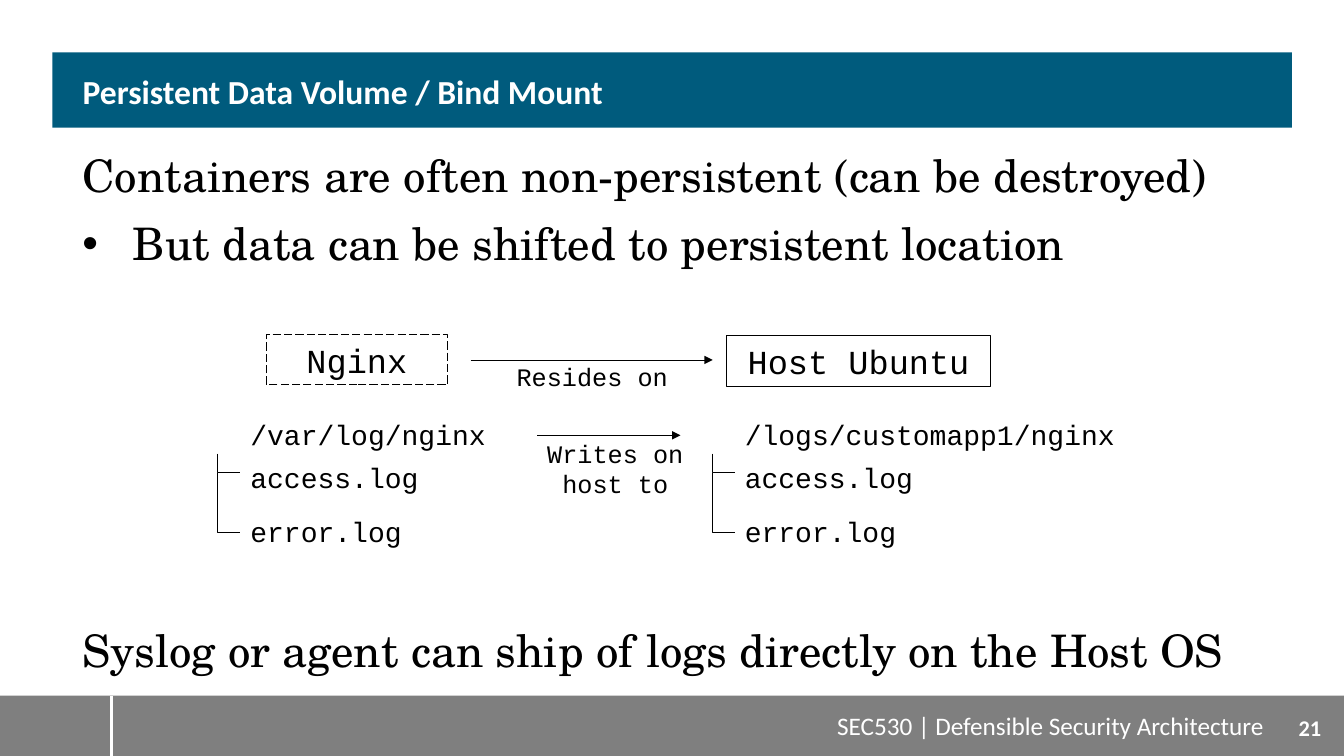
import pptx
import pptx.dml.color
import pptx.enum.dml
import pptx.enum.shapes
import pptx.enum.text
import pptx.oxml
import pptx.oxml.ns
import pptx.util

Cm = pptx.util.Cm
Pt = pptx.util.Pt
RGBColor = pptx.dml.color.RGBColor
ALIGN = pptx.enum.text.PP_ALIGN
ANCHOR = pptx.enum.text.MSO_ANCHOR
CONNECTOR = pptx.enum.shapes.MSO_CONNECTOR

BLACK = RGBColor(0, 0, 0)
WHITE = RGBColor(255, 255, 255)
GRAY = RGBColor(0x7F, 0x7F, 0x7F)
TEAL = RGBColor(0x00, 0x5B, 0x7D)
SANS = "Calibri"
SERIF = "TeX Gyre Schola"
MONO = "Courier New"


def add_xml(parent, tag, **attributes):
    element = pptx.oxml.parse_xml(f"<a:{tag} {pptx.oxml.ns.nsdecls('a')}/>")
    for name, value in attributes.items():
        element.set(name, value)
    parent.append(element)
    return element


class SlideBuilder:
    def __init__(self, deck):
        self.slide = deck.slides.add_slide(deck.slide_layouts[5])
        self.shapes = self.slide.shapes

    def add_span(self, para, text, size, font=MONO, color=BLACK, bold=False, align=ALIGN.LEFT):
        para.alignment = align
        span = para.add_run()
        span.text = text
        span.font.name = font
        span.font.size = Pt(size)
        span.font.bold = bold
        span.font.color.rgb = color

    def text(self, left, top, width, height, text, size, anchor=ANCHOR.TOP, **style):
        box = self.shapes.add_textbox(Cm(left), Cm(top), Cm(width), Cm(height))
        box.text_frame.word_wrap = True
        box.text_frame.vertical_anchor = anchor
        self.add_span(box.text_frame.paragraphs[0], text, size, **style)
        return box

    def rectangle(self, left, top, width, height, fill=None):
        box = self.shapes.add_shape(pptx.enum.shapes.MSO_SHAPE.RECTANGLE,
                                    Cm(left), Cm(top), Cm(width), Cm(height))
        box.shadow.inherit = False
        if fill is None:
            box.fill.background()
        else:
            box.fill.solid()
            box.fill.fore_color.rgb = fill
            box.line.fill.background()
        return box

    def system(self, left, top, width, name, dash=None):
        """Outlined box naming a container or host."""
        box = self.rectangle(left, top, width, 1.27)
        box.line.color.rgb = BLACK
        box.line.width = Pt(0.75)
        if dash is not None:
            box.line.dash_style = dash
        box.text_frame.word_wrap = True
        self.add_span(box.text_frame.paragraphs[0], name, 24, align=ALIGN.CENTER)

    def line(self, x1, y1, x2, y2, color=BLACK, width=0.5, arrow=False, kind=CONNECTOR.STRAIGHT):
        connector = self.shapes.add_connector(kind, Cm(x1), Cm(y1), Cm(x2), Cm(y2))
        connector.line.color.rgb = color
        connector.line.width = Pt(width)
        properties = connector._element.spPr
        if arrow:
            add_xml(properties.find(pptx.oxml.ns.qn("a:ln")), "tailEnd", type="triangle")
        add_xml(properties, "effectLst")
        return connector

    def elbow(self, x, y, run, drop):
        """One bend: down by drop, then right by run."""
        left = x + (run - drop) / 2
        top = y + (drop - run) / 2
        connector = self.line(left, top, left + drop, top + run, kind=CONNECTOR.ELBOW)
        properties = connector._element.spPr
        properties.find(pptx.oxml.ns.qn("a:prstGeom")).set("prst", "bentConnector2")
        frame = properties.find(pptx.oxml.ns.qn("a:xfrm"))
        frame.set("rot", "16200000")
        frame.set("flipH", "1")

    def log_folder(self, left, folder, folder_width):
        indent = 0.57
        branch_tops = (11.43, 11.91, 13.41)
        self.text(left + indent, 10.39, folder_width, 1.12, folder, 20)
        for name, top, start, end in zip(("access.log", "error.log"), (11.48, 12.85),
                                         branch_tops, branch_tops[1:]):
            self.elbow(left, start, indent, end - start)
            self.text(left + indent, top, 4.88, 1.12, name, 20)

    def title(self, text):
        self.rectangle(1.32, 1.32, 31.24, 1.9, TEAL)
        title = self.shapes.title
        self.shapes._spTree.append(title._element)
        title.left, title.top, title.width, title.height = Cm(1.83), Cm(1.32), Cm(30.23), Cm(1.9)
        frame = title.text_frame
        frame.auto_size = pptx.enum.text.MSO_AUTO_SIZE.NONE
        frame.word_wrap = True
        frame.vertical_anchor = ANCHOR.MIDDLE
        frame.margin_left = frame.margin_right = Cm(0.25)
        frame.margin_top, frame.margin_bottom = Cm(0.18), Cm(0)
        frame.paragraphs[0].line_spacing = 0.9
        self.add_span(frame.paragraphs[0], text, 24, SANS, WHITE, bold=True)

    def body(self, opening, bullet, closing):
        frame = self.text(1.83, 3.61, 30.23, 13.54, opening, 32, font=SERIF).text_frame
        para = frame.add_paragraph()
        para.space_before = Pt(10)
        properties = para._p.get_or_add_pPr()
        properties.set("marL", str(Cm(1.27)))
        properties.set("indent", str(-Cm(1.27)))
        add_xml(properties, "buFont", typeface="Arial")
        add_xml(properties, "buChar", char="•")
        self.add_span(para, bullet, 32, SERIF)
        para = frame.add_paragraph()
        para.space_before = Pt(252)
        self.add_span(para, closing, 32, SERIF)

    def footer(self, course, number):
        self.rectangle(0, 17.53, 33.87, 1.52, GRAY)
        self.line(2.82, 17.53, 2.82, 19.05, WHITE, 2)
        self.text(15.16, 17.78, 16.94, 1.02, course, 18,
                  font=SANS, color=WHITE, align=ALIGN.RIGHT)
        self.text(32.11, 17.58, 1.8, 1.52, number, 16, ANCHOR.MIDDLE,
                  font=SANS, color=WHITE, bold=True, align=ALIGN.CENTER)


def main():
    deck = pptx.Presentation()
    deck.slide_width, deck.slide_height = Cm(33.87), Cm(19.05)
    page = SlideBuilder(deck)
    page.footer("SEC530 | Defensible Security Architecture", "21")
    page.title("Persistent Data Volume / Bind Mount")
    page.body("Containers are often non-persistent (can be destroyed)",
              "But data can be shifted to persistent location",
              "Syslog or agent can ship of logs directly on the Host OS")

    page.system(6.71, 8.43, 4.57, "Nginx", pptx.enum.dml.MSO_LINE.LONG_DASH)
    page.log_folder(5.49, "/var/log/nginx", 8)
    page.system(18.31, 8.46, 6.65, "Host Ubuntu")
    page.log_folder(17.95, "/logs/customapp1/nginx", 11.89)

    page.line(11.86, 9.07, 17.96, 9.07, arrow=True)
    page.line(13.54, 10.97, 17.15, 10.97, arrow=True)
    page.text(12.22, 8.97, 5.41, 1.02, "Resides on", 18, align=ALIGN.CENTER)
    page.text(12.8, 10.92, 5.41, 1.8, "Writes on host to", 18, align=ALIGN.CENTER)
    deck.save("out.pptx")


if __name__ == "__main__":
    main()
